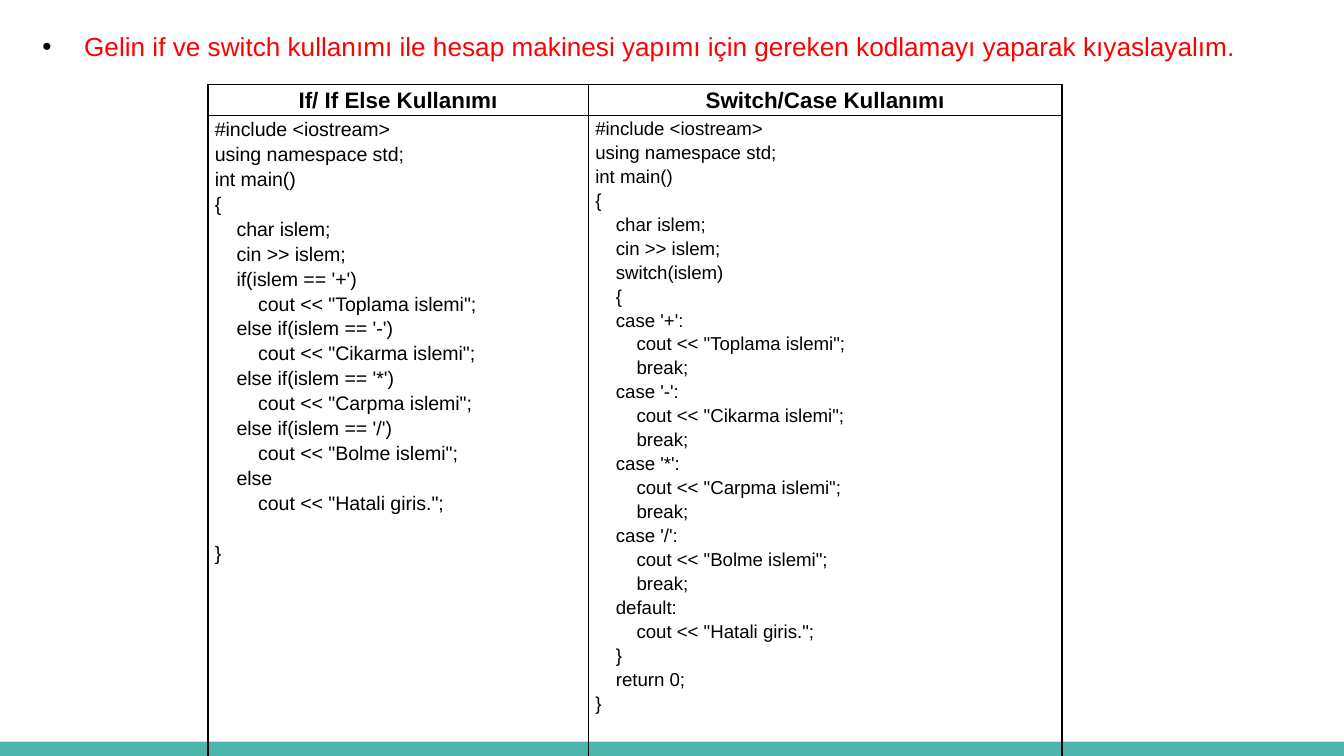
from lxml.etree import SubElement
from pptx import Presentation
from pptx.dml.color import RGBColor
from pptx.enum.shapes import MSO_SHAPE
from pptx.enum.text import MSO_ANCHOR, PP_ALIGN
from pptx.oxml import parse_xml
from pptx.oxml.ns import nsdecls, qn
from pptx.util import Cm, Pt

IF_CODE = """#include <iostream>
using namespace std;
int main()
{
    char islem;
    cin >> islem;
    if(islem == '+')
        cout << "Toplama islemi";
    else if(islem == '-')
        cout << "Cikarma islemi";
    else if(islem == '*')
        cout << "Carpma islemi";
    else if(islem == '/')
        cout << "Bolme islemi";
    else
        cout << "Hatali giris.";

}"""

SWITCH_CODE = """#include <iostream>
using namespace std;
int main()
{
    char islem;
    cin >> islem;
    switch(islem)
    {
    case '+':
        cout << "Toplama islemi";
        break;
    case '-':
        cout << "Cikarma islemi";
        break;
    case '*':
        cout << "Carpma islemi";
        break;
    case '/':
        cout << "Bolme islemi";
        break;
    default:
        cout << "Hatali giris.";
    }
    return 0;
}"""


def color(value):
    return RGBColor.from_string(value)


def apply(target, values):
    for name, value in values.items():
        setattr(target, name, value)


class SlideBuilder:
    font_name = "Arial"
    ink = "000000"
    accent = "FF0000"
    band = "4DB6AC"
    line_spacing = 1.15
    tab_width = 4

    def __init__(self, slide):
        self.slide = slide

    def style_font(self, font, size, ink, bold=False):
        apply(font, {"name": self.font_name, "size": Pt(size), "bold": bold})
        font.color.rgb = color(ink)

    def footer_band(self, left, top, width, height):
        band = self.slide.shapes.add_shape(
            MSO_SHAPE.RECTANGLE, Cm(left), Cm(top), Cm(width), Cm(height))
        band.shadow.inherit = False
        band.fill.solid()
        band.fill.fore_color.rgb = color(self.band)
        band.line.fill.background()

    def title(self, text, left, top, width, height):
        title = self.slide.shapes.title
        apply(title, {"left": Cm(left), "top": Cm(top),
                      "width": Cm(width), "height": Cm(height)})
        apply(title.text_frame, {
            "text": text, "word_wrap": True, "vertical_anchor": MSO_ANCHOR.TOP,
            "margin_left": Cm(0.25), "margin_right": Cm(0.25),
            "margin_top": Cm(0.13), "margin_bottom": Cm(0.13)})
        paragraph = title.text_frame.paragraphs[0]
        apply(paragraph, {"alignment": PP_ALIGN.LEFT, "line_spacing": 1.0,
                          "space_before": Pt(0)})
        self.style_font(paragraph.runs[0].font, 14, self.accent)
        properties = paragraph._p.get_or_add_pPr()
        properties.set("marL", str(Cm(0.79)))
        properties.set("indent", str(-Cm(0.79)))
        bullet_color = SubElement(properties, qn("a:buClr"))
        SubElement(bullet_color, qn("a:srgbClr"), val=self.ink)
        SubElement(properties, qn("a:buFont"), typeface=self.font_name)
        SubElement(properties, qn("a:buChar"), char="•")

    def table(self, left, top, widths, heights):
        table = self.slide.shapes.add_table(
            len(heights), len(widths), Cm(left), Cm(top),
            Cm(sum(widths)), Cm(sum(heights))).table
        apply(table, {"first_row": False, "horz_banding": False})
        for column, width in zip(table.columns, widths):
            column.width = Cm(width)
        for row, height in zip(table.rows, heights):
            row.height = Cm(height)
        for cell in table.iter_cells():
            apply(cell, {"margin_left": Cm(0.13), "margin_right": Cm(0.13),
                         "margin_top": 0, "margin_bottom": 0})
            cell.fill.background()
            self.borders(cell)
        return table

    def borders(self, cell):
        properties = cell._tc.get_or_add_tcPr()
        for position, side in enumerate("LRTB"):
            properties.insert(position, parse_xml(
                f'<a:ln{side} {nsdecls("a")} w="{Pt(1)}"><a:solidFill>'
                f'<a:srgbClr val="{self.ink}"/></a:solidFill></a:ln{side}>'))

    def cell_text(self, cell, text, size, alignment, bold=False):
        frame = cell.text_frame
        paragraph = frame.paragraphs[0]
        gap = 0
        for number, line in enumerate(text.split("\n")):
            code = line.lstrip()
            if not code:
                gap += size * 1.28
                continue
            if number:
                paragraph = frame.add_paragraph()
            apply(paragraph, {"alignment": alignment, "space_before": Pt(gap),
                              "line_spacing": self.line_spacing})
            gap = 0
            level = (len(line) - len(code)) // self.tab_width
            if level:
                properties = paragraph._p.get_or_add_pPr()
                properties.set("marL", str(level * Cm(size * 0.039)))
                properties.set("indent", "0")
            run = paragraph.add_run()
            run.text = code
            self.style_font(run.font, size, self.ink, bold)


def main():
    deck = Presentation()
    apply(deck, {"slide_width": Cm(25.4), "slide_height": Cm(14.29)})
    builder = SlideBuilder(deck.slides.add_slide(deck.slide_layouts[5]))
    builder.footer_band(0, 14.02, 25.4, 0.27)
    builder.title("Gelin if ve switch kullanımı ile hesap makinesi yapımı için "
                  "gereken kodlamayı yaparak kıyaslayalım.",
                  0.55, 0.45, 24.43, 0.87)
    comparison = builder.table(3.93, 1.6, [7.19, 8.95], [0.58, 12.2])
    columns = [("If/ If Else Kullanımı", IF_CODE, 10.5, PP_ALIGN.LEFT),
               ("Switch/Case Kullanımı", SWITCH_CODE, 10, PP_ALIGN.JUSTIFY)]
    for index, (heading, code, size, alignment) in enumerate(columns):
        builder.cell_text(comparison.cell(0, index), heading, 12, PP_ALIGN.CENTER, True)
        builder.cell_text(comparison.cell(1, index), code, size, alignment)
    deck.save("out.pptx")


if __name__ == "__main__":
    main()
